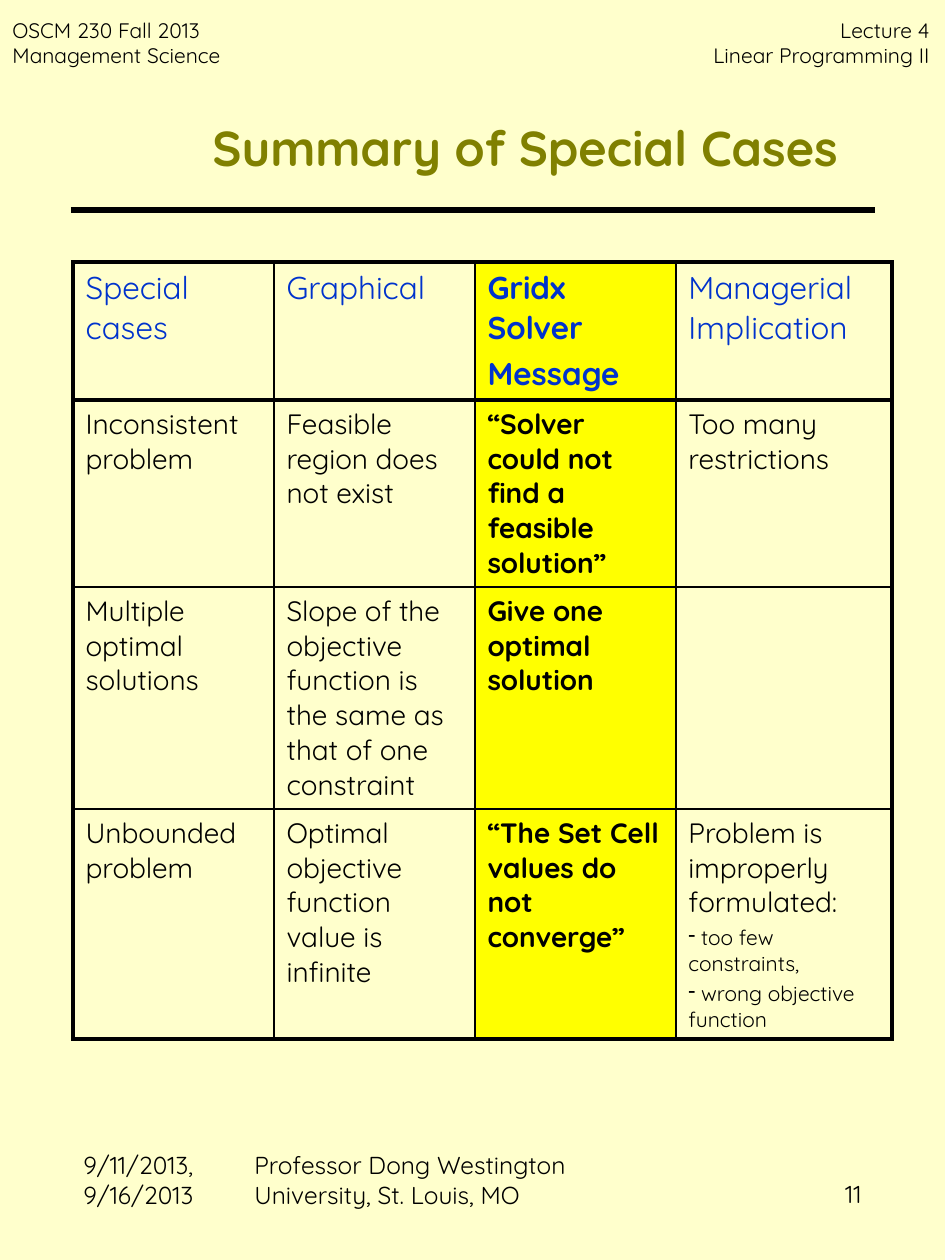
import dataclasses

import lxml.etree
import pptx
import pptx.dml.color
import pptx.enum.text
import pptx.oxml.ns
import pptx.util

PX = 914400 / 126
ALIGN = pptx.enum.text.PP_ALIGN
ANCHOR = pptx.enum.text.MSO_ANCHOR


@dataclasses.dataclass(frozen=True)
class Theme:
    font: str = "Quicksand"
    paper: str = "FFFFCC"
    ink: str = "000000"
    title: str = "808000"
    heading: str = "0033CC"
    highlight: str = "FFFF00"
    title_size: int = 28
    heading_size: int = 18
    body_size: int = 16
    footer_size: int = 14
    small_size: int = 12
    thin: float = 1
    thick: float = 2.25
    rule: float = 3


THEME = Theme()
COLUMNS = [201, 201, 201, 216]
ROWS = [138, 187, 222, 230]
SOLVER_COLUMN = 2
CASES = [
    ["Special cases", "Graphical", "Gridx Solver\nMessage", "Managerial Implication"],
    ["Inconsistent problem", "Feasible region does not exist",
     "“Solver could not find a feasible solution”", "Too many restrictions"],
    ["Multiple optimal solutions",
     "Slope of the objective function is the same as that of one constraint",
     "Give one optimal solution", ""],
    ["Unbounded problem", "Optimal objective function value is infinite",
     "“The Set Cell values do not converge”", "Problem is improperly formulated:"],
]
FORMULATION_FAULTS = [" too few constraints,", " wrong objective function"]


def px(length):
    return pptx.util.Emu(round(length * PX))


def rgb(value):
    return pptx.dml.color.RGBColor.from_string(value)


def xml_child(parent, tag, **attributes):
    return lxml.etree.SubElement(parent, pptx.oxml.ns.qn(tag), attributes)


def write(paragraph, text, *, size, color=THEME.ink, bold=False,
          align=ALIGN.LEFT, before=0, bullet=None):
    paragraph.alignment = align
    if before:
        paragraph.space_before = pptx.util.Pt(before)
    if bullet:
        properties = paragraph._p.get_or_add_pPr()
        properties.set("marL", "0")
        properties.set("indent", "0")
        xml_child(properties, "a:buChar", char=bullet)
    run = paragraph.add_run()
    run.text = text
    run.font.name = THEME.font
    run.font.size = pptx.util.Pt(size)
    run.font.bold = bold
    run.font.color.rgb = rgb(color)


def text_box(slide, box, lines, anchor=ANCHOR.TOP, **text_format):
    frame = slide.shapes.add_textbox(*map(px, box)).text_frame
    frame.word_wrap = True
    frame.vertical_anchor = anchor
    for index, line in enumerate(lines):
        paragraph = frame.add_paragraph() if index else frame.paragraphs[0]
        write(paragraph, line, **text_format)


def add_header(slide, left, top, width, height):
    course_width, lecture_width = 261, 248
    text_box(slide, (left, top, course_width, height),
             ["OSCM 230 Fall 2013", "Management Science"],
             anchor=ANCHOR.MIDDLE, size=THEME.small_size)
    text_box(slide, (left + width - lecture_width, top, lecture_width, height),
             ["Lecture 4", "Linear Programming II"],
             anchor=ANCHOR.MIDDLE, size=THEME.small_size, align=ALIGN.RIGHT)


def add_title(slide, left, top, width, height):
    """Title above a rule that starts at the left of the box."""
    indent, rule_width, rule_drop = 129, 804, 168
    text_box(slide, (left + indent, top, width - indent, height),
             ["Summary of Special Cases"], anchor=ANCHOR.MIDDLE,
             size=THEME.title_size, color=THEME.title, bold=True)
    rule = slide.shapes.add_connector(
        pptx.enum.shapes.MSO_CONNECTOR.STRAIGHT, px(left), px(top + rule_drop),
        px(left + rule_width), px(top + rule_drop))
    rule.line.color.rgb = rgb(THEME.ink)
    rule.line.width = pptx.util.Pt(THEME.rule)
    xml_child(rule._element.spPr, "a:effectLst")


def set_borders(cell, row, column):
    """Thick lines round the table and below its heading, thin lines elsewhere."""
    thick_sides = {
        "a:lnL": column == 0,
        "a:lnR": column == len(COLUMNS) - 1,
        "a:lnT": row in (0, 1),
        "a:lnB": row in (0, len(ROWS) - 1),
    }
    properties = cell._tc.get_or_add_tcPr()
    for position, (tag, is_thick) in enumerate(thick_sides.items()):
        width = pptx.util.Pt(THEME.thick if is_thick else THEME.thin)
        line = xml_child(properties, tag, w=str(width))
        xml_child(xml_child(line, "a:solidFill"), "a:srgbClr", val=THEME.ink)
        properties.insert(position, line)


def fill_cell(cell, row, column):
    is_solver = column == SOLVER_COLUMN
    if is_solver:
        cell.fill.solid()
        cell.fill.fore_color.rgb = rgb(THEME.highlight)
    else:
        cell.fill.background()
    set_borders(cell, row, column)
    size = THEME.body_size if row else THEME.heading_size
    color = THEME.ink if row else THEME.heading
    if not CASES[row][column]:
        return
    for index, line in enumerate(CASES[row][column].split("\n")):
        frame = cell.text_frame
        paragraph = frame.add_paragraph() if index else frame.paragraphs[0]
        write(paragraph, line, size=size, color=color, bold=is_solver,
              before=0.2 * size * index)


def add_cases_table(slide, left, top):
    table = slide.shapes.add_table(
        len(ROWS), len(COLUMNS), px(left), px(top),
        px(sum(COLUMNS)), px(sum(ROWS))).table
    table.first_row = table.horz_banding = False
    for column, width in enumerate(COLUMNS):
        table.columns[column].width = px(width)
    for row, height in enumerate(ROWS):
        table.rows[row].height = px(height)
        for column in range(len(COLUMNS)):
            fill_cell(table.cell(row, column), row, column)
    last_frame = table.cell(len(ROWS) - 1, len(COLUMNS) - 1).text_frame
    for fault in FORMULATION_FAULTS:
        write(last_frame.add_paragraph(), fault, size=THEME.small_size,
              before=0.2 * THEME.small_size, bullet="-")


def add_footer(slide, left, top, width, height):
    side_width, school_offset, school_width, number_drop = 197, 171, 440, 29
    text_box(slide, (left, top, side_width, height),
             ["9/11/2013, 9/16/2013"], size=THEME.footer_size)
    text_box(slide, (left + school_offset, top, school_width, height),
             ["Professor Dong Westington University, St. Louis, MO"],
             size=THEME.footer_size)
    text_box(slide, (left + width - side_width, top + number_drop,
                     side_width, height - number_drop),
             ["11"], size=THEME.footer_size, align=ALIGN.RIGHT)


def main():
    deck = pptx.Presentation()
    deck.slide_width, deck.slide_height = px(945), px(1260)
    slide = deck.slides.add_slide(deck.slide_layouts[6])
    slide.background.fill.solid()
    slide.background.fill.fore_color.rgb = rgb(THEME.paper)
    add_header(slide, 0, 11, 942, 63)
    add_title(slide, 71, 42, 932, 210)
    add_cases_table(slide, 73, 262)
    add_footer(slide, 71, 1144, 803, 84)
    deck.save("out.pptx")


if __name__ == "__main__":
    main()
